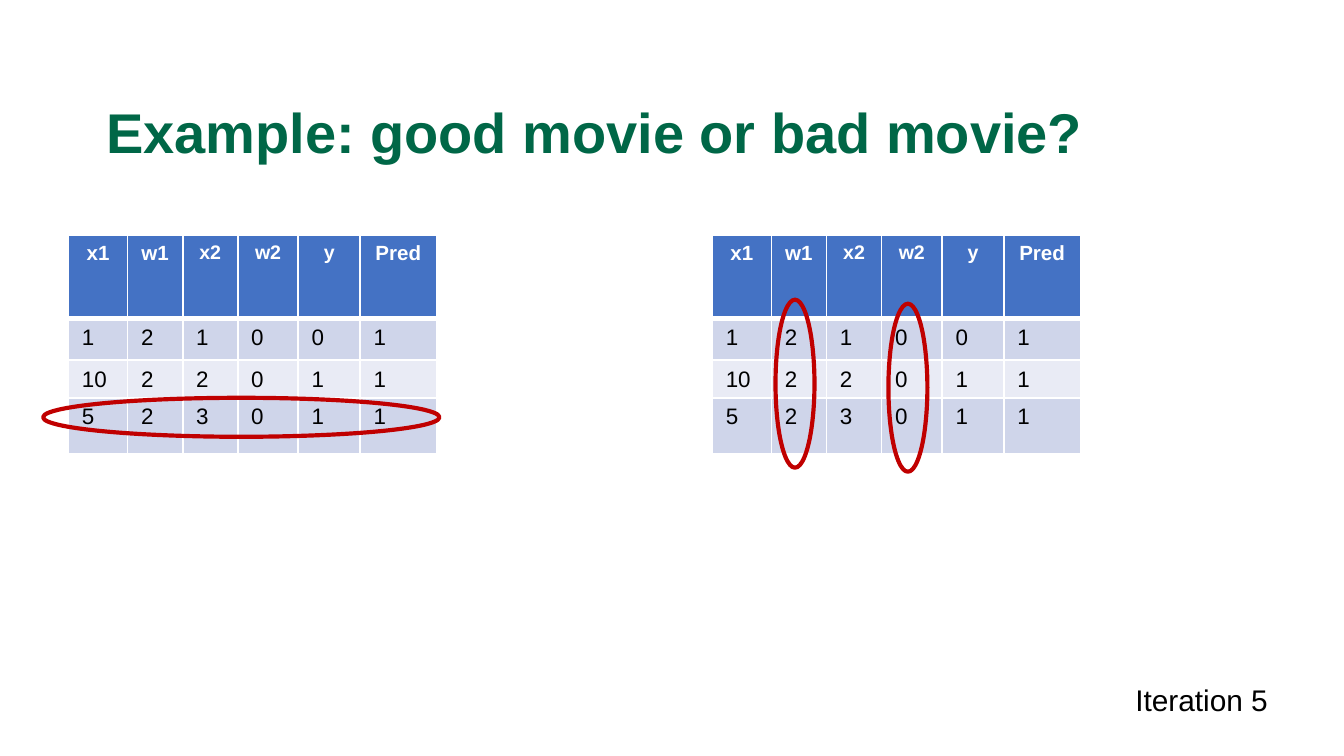
from lxml import etree
from pptx import Presentation
from pptx.dml.color import RGBColor
from pptx.enum.shapes import MSO_SHAPE
from pptx.enum.text import MSO_ANCHOR, MSO_AUTO_SIZE, PP_ALIGN
from pptx.oxml.ns import qn
from pptx.util import Inches, Pt

OVAL = MSO_SHAPE.OVAL
MIDDLE = MSO_ANCHOR.MIDDLE
FIT_SHAPE = MSO_AUTO_SIZE.SHAPE_TO_FIT_TEXT
LEFT, CENTER = PP_ALIGN.LEFT, PP_ALIGN.CENTER

FONT = "Arial"
COLORS = {
    "title": "006747",
    "text": "000000",
    "white": "FFFFFF",
    "header": "4472C4",
    "odd": "CFD5EA",
    "even": "E9EBF5",
    "mark": "C00000",
}

HEADERS = ["x1", "w1", "x2", "w2", "y", "Pred"]
HEADER_SIZES = [11, 11, 10.5, 10.5, 10.5, 11]
ROWS = [
    [1, 2, 1, 0, 0, 1],
    [10, 2, 2, 0, 1, 1],
    [5, 2, 3, 0, 1, 1],
]
COL_WIDTHS = [0.44, 0.41, 0.41, 0.45, 0.46, 0.57]
ROW_HEIGHTS = [0.62, 0.31, 0.28, 0.42]
CELL_MARGINS = {
    "margin_left": Inches(0.1),
    "margin_right": Inches(0.1),
    "margin_top": Inches(0.05),
    "margin_bottom": Inches(0.03),
}


def rgb(name):
    return RGBColor.from_string(COLORS[name])


def write(tf, text, size, color, bold=False, align=LEFT):
    p = tf.paragraphs[0]
    p.alignment = align
    r = p.add_run()
    r.text = text
    for name, value in {"name": FONT, "size": Pt(size), "bold": bold}.items():
        setattr(r.font, name, value)
    r.font.color.rgb = rgb(color)
    return p


def set_borders(cell, widths):
    tcPr = cell._tc.get_or_add_tcPr()
    for side in ("L", "R", "T", "B"):
        ln = etree.SubElement(tcPr, qn(f"a:ln{side}"), w=str(Pt(widths.get(side, 1))))
        fill = etree.SubElement(ln, qn("a:solidFill"))
        etree.SubElement(fill, qn("a:srgbClr"), val=COLORS["white"])


def add_title(s, text):
    sp = s.shapes.title
    sp.left, sp.top, sp.width, sp.height = map(Inches, (0.69, 0.63, 8.62, 0.76))
    sp.text_frame.vertical_anchor = MIDDLE
    write(sp.text_frame, text, 30, "title", bold=True).line_spacing = 0.9


def add_data_table(s, left, top):
    table = s.shapes.add_table(
        len(ROW_HEIGHTS), len(COL_WIDTHS), Inches(left), Inches(top),
        Inches(sum(COL_WIDTHS)), Inches(sum(ROW_HEIGHTS))).table
    for col, width in zip(table.columns, COL_WIDTHS):
        col.width = Inches(width)
    for row, height in zip(table.rows, ROW_HEIGHTS):
        row.height = Inches(height)

    for i, values in enumerate([HEADERS] + ROWS):
        for j, value in enumerate(values):
            cell = table.cell(i, j)
            for name, margin in CELL_MARGINS.items():
                setattr(cell, name, margin)
            # A thick rule separates the header from the body
            set_borders(cell, {0: {"B": 3}, 1: {"T": 3}}.get(i, {}))
            cell.fill.solid()
            if i == 0:
                cell.fill.fore_color.rgb = rgb("header")
                write(cell.text_frame, value, HEADER_SIZES[j], "white", True, CENTER)
            else:
                cell.fill.fore_color.rgb = rgb("odd" if i % 2 else "even")
                write(cell.text_frame, str(value), 12, "text")


def add_mark(s, left, top, width, rotation=0):
    sp = s.shapes.add_shape(OVAL, Inches(left), Inches(top), Inches(width), Inches(0.29))
    sp.rotation = rotation
    sp.shadow.inherit = False
    sp.fill.background()
    sp.line.color.rgb = rgb("mark")
    sp.line.width = Pt(2.25)


def add_label(s, text):
    tf = s.shapes.add_textbox(*map(Inches, (8.35, 5.02, 1.2, 0.37))).text_frame
    tf.word_wrap = False
    tf.auto_size = FIT_SHAPE
    write(tf, text, 16, "text")


def main():
    # Widescreen page, 16:9
    prs = Presentation()
    prs.slide_width = Inches(10)
    prs.slide_height = Inches(10) * 9 // 16
    s = prs.slides.add_slide(prs.slide_layouts[5])

    add_title(s, "Example: good movie or bad movie?")

    # The same data before and after the iteration
    for left in (0.51, 5.3):
        add_data_table(s, left, 1.75)

    # Current sample on the left, weight columns on the right
    add_mark(s, 0.32, 2.96, 2.95)
    add_mark(s, 5.29, 2.71, 1.25, rotation=90)
    add_mark(s, 6.13, 2.74, 1.25, rotation=90)

    add_label(s, "Iteration 5")
    prs.save("out.pptx")


if __name__ == "__main__":
    main()
